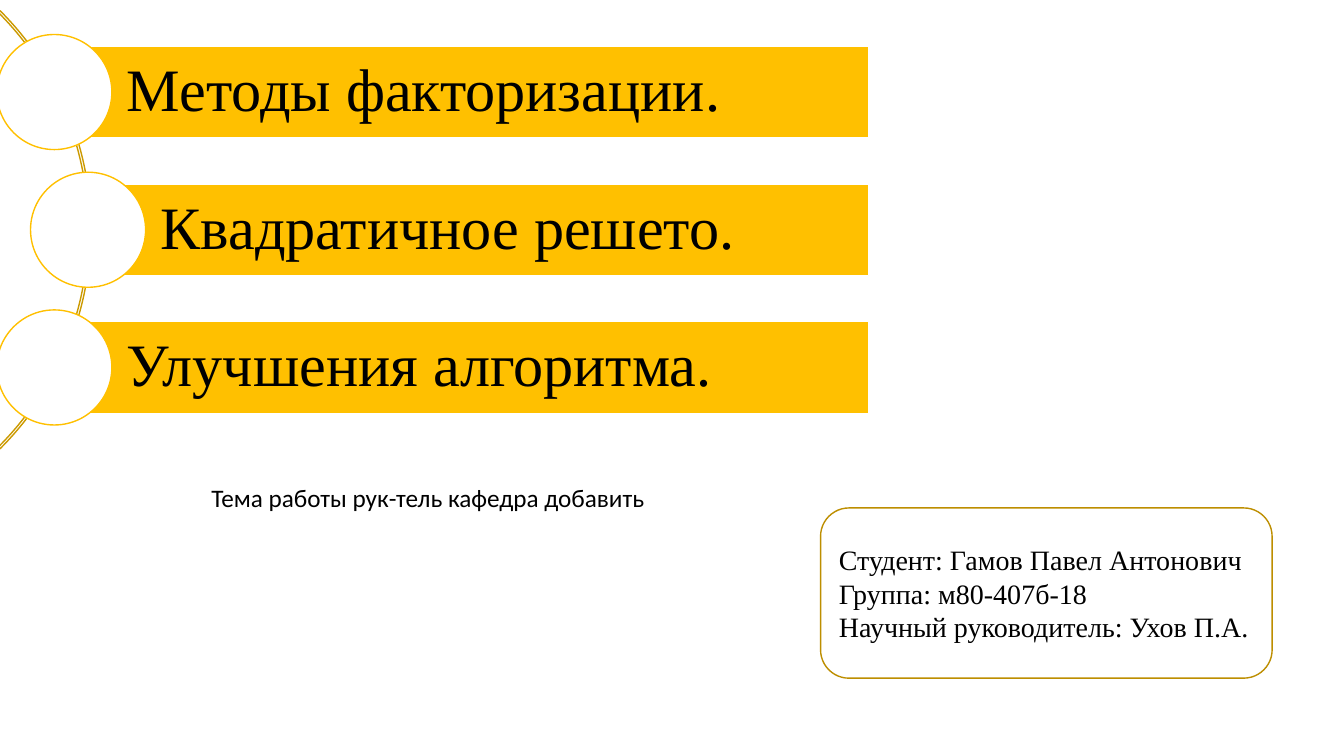
from dataclasses import dataclass

from pptx import Presentation
from pptx.dml.color import RGBColor
from pptx.enum.shapes import MSO_SHAPE
from pptx.enum.text import MSO_ANCHOR, MSO_AUTO_SIZE, PP_ALIGN
from pptx.util import Cm, Pt

ARC, BAR = MSO_SHAPE.BLOCK_ARC, MSO_SHAPE.RECTANGLE
CIRCLE, CARD = MSO_SHAPE.OVAL, MSO_SHAPE.ROUNDED_RECTANGLE
MIDDLE, LEFT = MSO_ANCHOR.MIDDLE, PP_ALIGN.LEFT
FIT_SHAPE = MSO_AUTO_SIZE.SHAPE_TO_FIT_TEXT


@dataclass(frozen=True)
class Theme:
    gold: RGBColor = RGBColor(0xFF, 0xC0, 0x00)
    arc_gold: RGBColor = RGBColor(0xCC, 0x9A, 0x00)
    card_gold: RGBColor = RGBColor(0xBD, 0x8E, 0x00)
    white: RGBColor = RGBColor(0xFF, 0xFF, 0xFF)
    black: RGBColor = RGBColor(0x00, 0x00, 0x00)
    serif: str = "Times New Roman"
    sans: str = "Calibri"
    topic_size: Pt = Pt(43)
    student_size: Pt = Pt(20)
    note_size: Pt = Pt(18)
    line_width: Pt = Pt(1)


theme = Theme()

presentation = Presentation()
presentation.slide_width = Cm(33.87)
presentation.slide_height = Cm(19.05)
slide = presentation.slides.add_slide(presentation.slide_layouts[6])


def add_outlined(kind, left, top, width, height, fill, line):
    shape = slide.shapes.add_shape(kind, Cm(left), Cm(top), Cm(width), Cm(height))
    shape.shadow.inherit = False
    if fill is None:
        shape.fill.background()
    else:
        shape.fill.solid()
        shape.fill.fore_color.rgb = fill
    shape.line.color.rgb = line
    shape.line.width = theme.line_width
    return shape


def write(frame, text, font_name, size):
    frame.text = text
    for paragraph in frame.paragraphs:
        paragraph.alignment = LEFT
        for run in paragraph.runs:
            run.font.name = font_name
            run.font.size = size
            run.font.color.rgb = theme.black


# Arc behind the topics
topic_arc = add_outlined(ARC, -13.31, -2.01, 15.6, 15.6, None, theme.arc_gold)
for index, value in enumerate((189, 27, 0.004)):
    topic_arc.adjustments[index] = value

# Topics: each circle is centred on the left end of its bar
BAR_RIGHT, BAR_HEIGHT, DIAMETER = 21.89, 2.31, 2.9
FIRST_CENTRE, PITCH = 2.32, 3.47
topics = [
    ("Методы факторизации.", 1.37),
    ("Квадратичное решето.", 2.22),
    ("Улучшения алгоритма.", 1.37),
]
for row, (topic, bar_left) in enumerate(topics):
    centre = FIRST_CENTRE + row * PITCH
    topic_bar = add_outlined(BAR, bar_left, centre - BAR_HEIGHT / 2,
                             BAR_RIGHT - bar_left, BAR_HEIGHT,
                             theme.gold, theme.white)
    label = topic_bar.text_frame
    label.word_wrap = True
    label.vertical_anchor = MIDDLE
    label.margin_left = Cm(1.83)
    label.margin_top = label.margin_right = label.margin_bottom = Cm(0.3)
    write(label, topic, theme.serif, theme.topic_size)
    label.paragraphs[0].line_spacing = 0.9
    add_outlined(CIRCLE, bar_left - DIAMETER / 2, centre - DIAMETER / 2,
                 DIAMETER, DIAMETER, theme.white, theme.gold)

# Student card
student_card = add_outlined(CARD, 20.68, 12.8, 11.38, 4.29,
                            theme.white, theme.card_gold)
student_card.text_frame.word_wrap = True
student_card.text_frame.vertical_anchor = MIDDLE
student_lines = [
    "Студент: Гамов Павел Антонович",
    "Группа: м80-407б-18",
    "Научный руководитель: Ухов П.А.",
]
write(student_card.text_frame, "\n".join(student_lines),
      theme.serif, theme.student_size)

# Note under the topics
note = slide.shapes.add_textbox(Cm(5.08), Cm(12.04), Cm(11.71), Cm(1.02))
note.text_frame.word_wrap = False
note.text_frame.auto_size = FIT_SHAPE
write(note.text_frame, "Тема работы рук-тель кафедра добавить",
      theme.sans, theme.note_size)

presentation.save("out.pptx")
